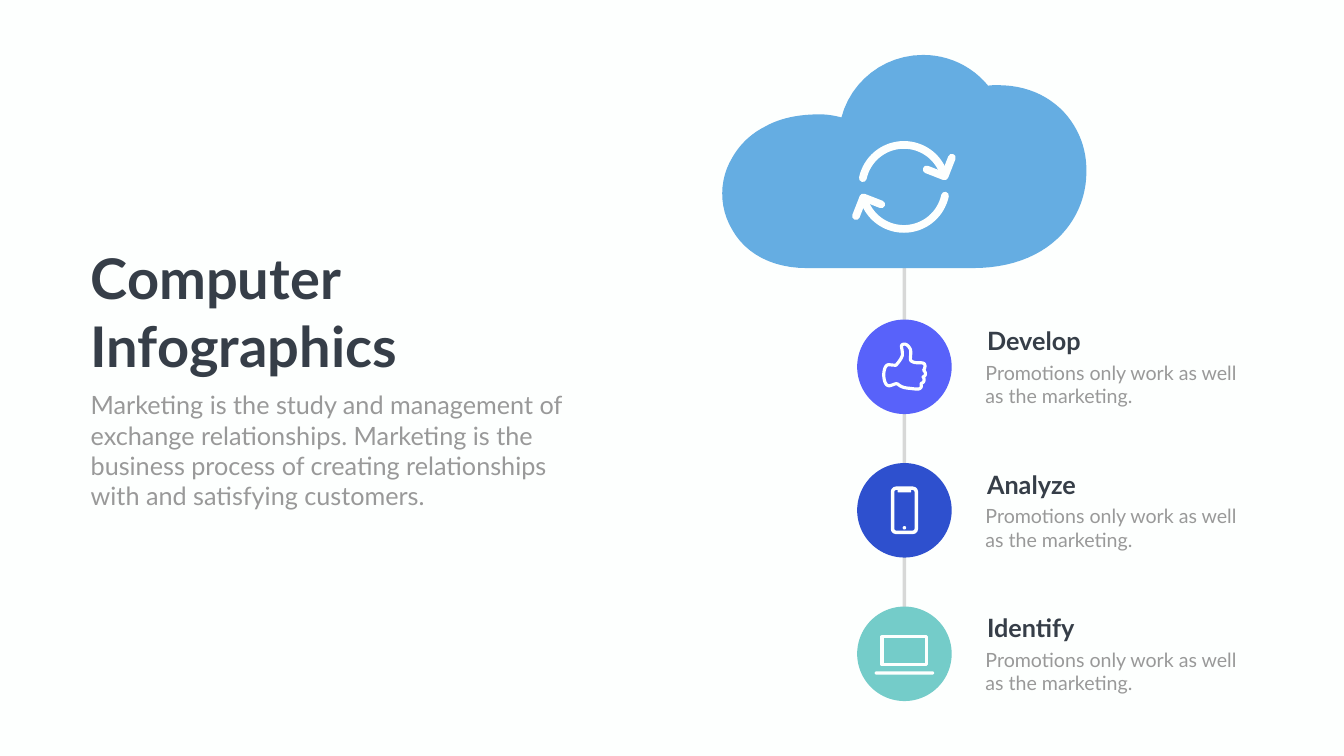
import math

import pptx
import pptx.dml.color
import pptx.enum.shapes
import pptx.enum.text
import pptx.oxml
import pptx.oxml.ns
import pptx.util

Pt = pptx.util.Pt
RGBColor = pptx.dml.color.RGBColor
PRESET = pptx.enum.shapes.MSO_SHAPE

PAPER = RGBColor(0xFD, 0xFF, 0xFE)
INK = RGBColor(0x36, 0x3E, 0x48)
GREY = RGBColor(0x99, 0x99, 0x99)
STEM_GREY = RGBColor(0x80, 0x80, 0x80)
SKY = RGBColor(0x65, 0xAD, 0xE2)
VIOLET = RGBColor(0x58, 0x62, 0xFA)
BLUE = RGBColor(0x2E, 0x50, 0xCE)
TEAL = RGBColor(0x74, 0xCC, 0xC9)

AXIS_X = 1291.7
FIRST_Y = 524
STEP_PITCH = 205
STEPS = [("Develop", VIOLET), ("Analyze", BLUE), ("Identify", TEAL)]
thumb_y, phone_y, laptop_y = [FIRST_Y + STEP_PITCH * i for i in range(3)]

deck = pptx.Presentation()
deck.slide_width, deck.slide_height = Pt(1919.52), Pt(1080)
page = deck.slides.add_slide(deck.slide_layouts[6])
page.background.fill.solid()
page.background.fill.fore_color.rgb = PAPER


def paint(shape, color, weight=0):
    """Fill the shape, or, given a weight, stroke it with round ends and joins."""
    shape.shadow.inherit = False
    if not weight:
        shape.fill.solid()
        shape.fill.fore_color.rgb = color
        shape.line.fill.background()
        return
    shape.fill.background()
    shape.line.color.rgb = color
    shape.line.width = Pt(weight)
    stroke = shape.line._get_or_add_ln()
    stroke.set("cap", "rnd")
    stroke.append(pptx.oxml.parse_xml(f'<a:round {pptx.oxml.ns.nsdecls("a")}/>'))


def add_centred(preset, middle_y, width, height, color, weight=0):
    """Add a preset shape centred on the vertical axis."""
    shape = page.shapes.add_shape(
        preset, Pt(AXIS_X - width / 2), Pt(middle_y - height / 2), Pt(width), Pt(height))
    paint(shape, color, weight)
    return shape


# Stem and step circles
stem = page.shapes.add_connector(
    pptx.enum.shapes.MSO_CONNECTOR.STRAIGHT, Pt(AXIS_X), Pt(laptop_y), Pt(AXIS_X), Pt(266.4))
stem.line.color.rgb = STEM_GREY
stem.line.width = Pt(5)
stem_color = stem.line._get_or_add_ln().find(".//" + pptx.oxml.ns.qn("a:srgbClr"))
stem_color.append(pptx.oxml.parse_xml(f'<a:alpha {pptx.oxml.ns.nsdecls("a")} val="30000"/>'))
stem._element.spPr.append(pptx.oxml.parse_xml(f'<a:effectLst {pptx.oxml.ns.nsdecls("a")}/>'))

for index, (name, color) in enumerate(STEPS):
    add_centred(PRESET.OVAL, FIRST_Y + STEP_PITCH * index, 135, 135, color)

# Cloud and thumb: a start point, then cubic curves (two handles and an end point)
CLOUD = [(1389.6, 383), (1310, 383), (1230, 383), (1152, 383),
         (1103.8, 383), (1064.9, 362.9), (1045.4, 327.6),
         (1026.7, 295.9), (1026.7, 256.3), (1046.2, 224.6),
         (1057, 205.9), (1072.8, 190.8), (1093, 180.7),
         (1114.6, 168.5), (1141.2, 163.4), (1170.7, 163.4),
         (1180.8, 163.4), (1190.9, 164.9), (1201.7, 167.8),
         (1215.4, 115.9), (1262.9, 78.5), (1318.3, 78.5),
         (1354.3, 78.5), (1388.2, 94.3), (1411.2, 122.4),
         (1416.2, 121.7), (1420.6, 121.7), (1424.9, 121.7),
         (1463.8, 121.7), (1496.2, 135.4), (1519.9, 160.6),
         (1540.8, 183.6), (1552.3, 213.1), (1551.6, 245.5),
         (1551.6, 281.5), (1537.2, 315.4), (1510.6, 340.6),
         (1481.8, 367.9), (1440, 383), (1389.6, 383)]
THUMB = [(5.8, 30.6), (7.9, 30.6), (13, 31.7), (16.6, 31.7),
         (21.6, 32.4), (24.5, 30.2), (24.1, 27),
         (23.8, 25.2), (23.8, 24.5), (23.8, 23.8),
         (28.1, 22.3), (29.5, 18.7), (26.6, 14.4),
         (31, 13), (31, 7.9), (27.4, 5),
         (30.2, 0.7), (30.2, -5), (25.9, -5.4),
         (22.3, -6.5), (14.4, -4.3), (9.4, -8.6),
         (7.2, -10.8), (10.1, -18.7), (8.6, -24.5),
         (5.8, -31), (1.4, -33.8), (-2.9, -31.7),
         (-5.8, -29.5), (-2.9, -27.4), (-2.9, -17.3),
         (-2.9, -13), (-10.1, -4.3), (-12.2, -2.2),
         (-15.8, -2.2), (-19.4, -2.9), (-23, -2.9),
         (-26.6, -2.9), (-29.5, 3.6), (-29.5, 11.5),
         (-29.5, 18), (-27.4, 28.1), (-20.9, 27),
         (-15.8, 25.9), (-12.2, 23), (-9.4, 24.8),
         (-5, 28.8), (0.7, 30.2), (5.8, 30.6)]
CURVE_STEPS = 12
for nodes, left, top, color, weight in [
        (CLOUD, 0, 0, SKY, 0), (THUMB, AXIS_X, thumb_y, PAPER, 4.5)]:
    outline = []
    for first in range(0, len(nodes) - 1, 3):
        for t in [step / CURVE_STEPS for step in range(CURVE_STEPS)]:
            shares = [(1 - t) ** 3, 3 * t * (1 - t) ** 2, 3 * t * t * (1 - t), t ** 3]
            curve = list(zip(shares, nodes[first:first + 4]))
            outline.append((Pt(left + sum(share * x for share, (x, y) in curve)),
                            Pt(top + sum(share * y for share, (x, y) in curve))))
    builder = page.shapes.build_freeform(*outline[0])
    builder.add_line_segments(outline[1:], close=True)
    paint(builder.convert_to_shape(), color, weight)

# Refresh sign: one arrow, and the same arrow turned half round
ARC = [(60 * math.cos(math.radians(a)), 60 * math.sin(math.radians(a)))
       for a in range(192, 346, 3)]
HEAD = [(32.4, -25), (58, -15), (68.5, -41.8)]
for turn in (1, -1):
    arc, head = [[(Pt(1291 + turn * x), Pt(267 + turn * y)) for x, y in part]
                 for part in (ARC, HEAD)]
    builder = page.shapes.build_freeform(*arc[0])
    builder.add_line_segments(arc[1:], close=False)
    builder.move_to(*head[0])
    builder.add_line_segments(head[1:], close=False)
    paint(builder.convert_to_shape(), PAPER, 11)

# Phone
phone = add_centred(PRESET.ROUNDED_RECTANGLE, phone_y, 34, 63, PAPER, 5)
phone.adjustments[0] = 0.15
add_centred(PRESET.OVAL, phone_y + 25, 5, 5, PAPER)
add_centred(PRESET.ROUNDED_RECTANGLE, phone_y - 27.5, 19.4, 3.6, PAPER)

# Laptop
add_centred(PRESET.RECTANGLE, laptop_y - 4.3, 64, 40, PAPER, 4.5)
base = add_centred(PRESET.ROUNDED_RECTANGLE, laptop_y + 27.4, 85, 4.5, PAPER)
base.adjustments[0] = 0.5

# Texts: left, top, width, height, wording, size, colour, bold
texts = [
    (122.4, 344.9, 732.2, 200.9, "Computer Infographics", 80, INK, True),
    (122.4, 553, 732.2, 181.4,
     "Marketing is the study and management of exchange relationships. Marketing is the "
     "business process of creating relationships with and satisfying customers.",
     36, GREY, False),
]
for index, (name, color) in enumerate(STEPS):
    shift = STEP_PITCH * index
    texts.append((1402.6, 461.5 + shift, 187.9, 51.1, name, 36, INK, True))
    texts.append((1400.4, 512 + shift, 373.7, 74.9,
                  "Promotions only work as well as the marketing.", 28, GREY, False))

for left, top, width, height, wording, size, color, bold in texts:
    box = page.shapes.add_textbox(Pt(left), Pt(top), Pt(width), Pt(height))
    box.text_frame.word_wrap = True
    box.text_frame.auto_size = pptx.enum.text.MSO_AUTO_SIZE.SHAPE_TO_FIT_TEXT
    span = box.text_frame.paragraphs[0].add_run()
    span.text = wording
    span.font.name = "Lato"
    span.font.size = Pt(size)
    span.font.bold = bold
    span.font.color.rgb = color

deck.save("out.pptx")
